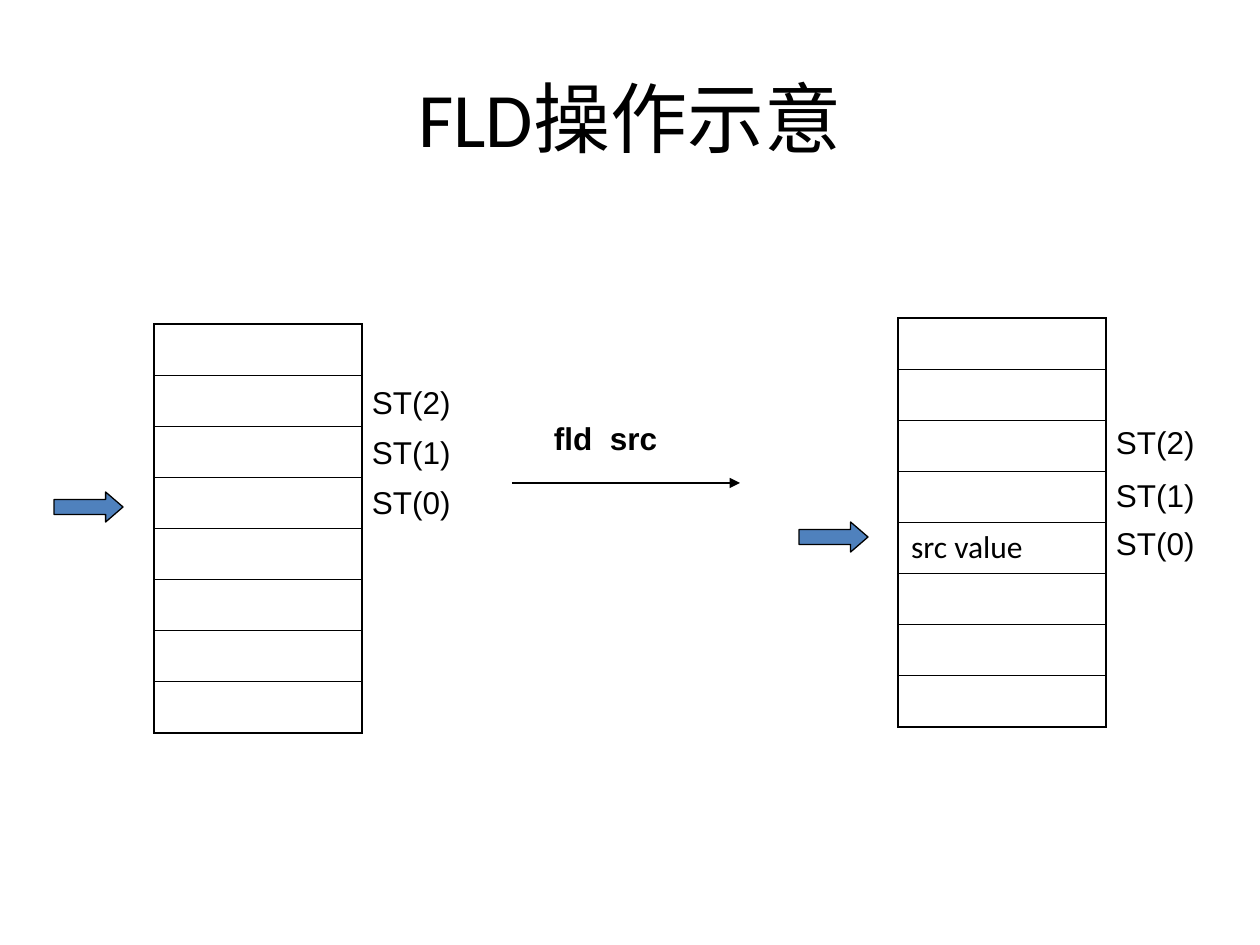
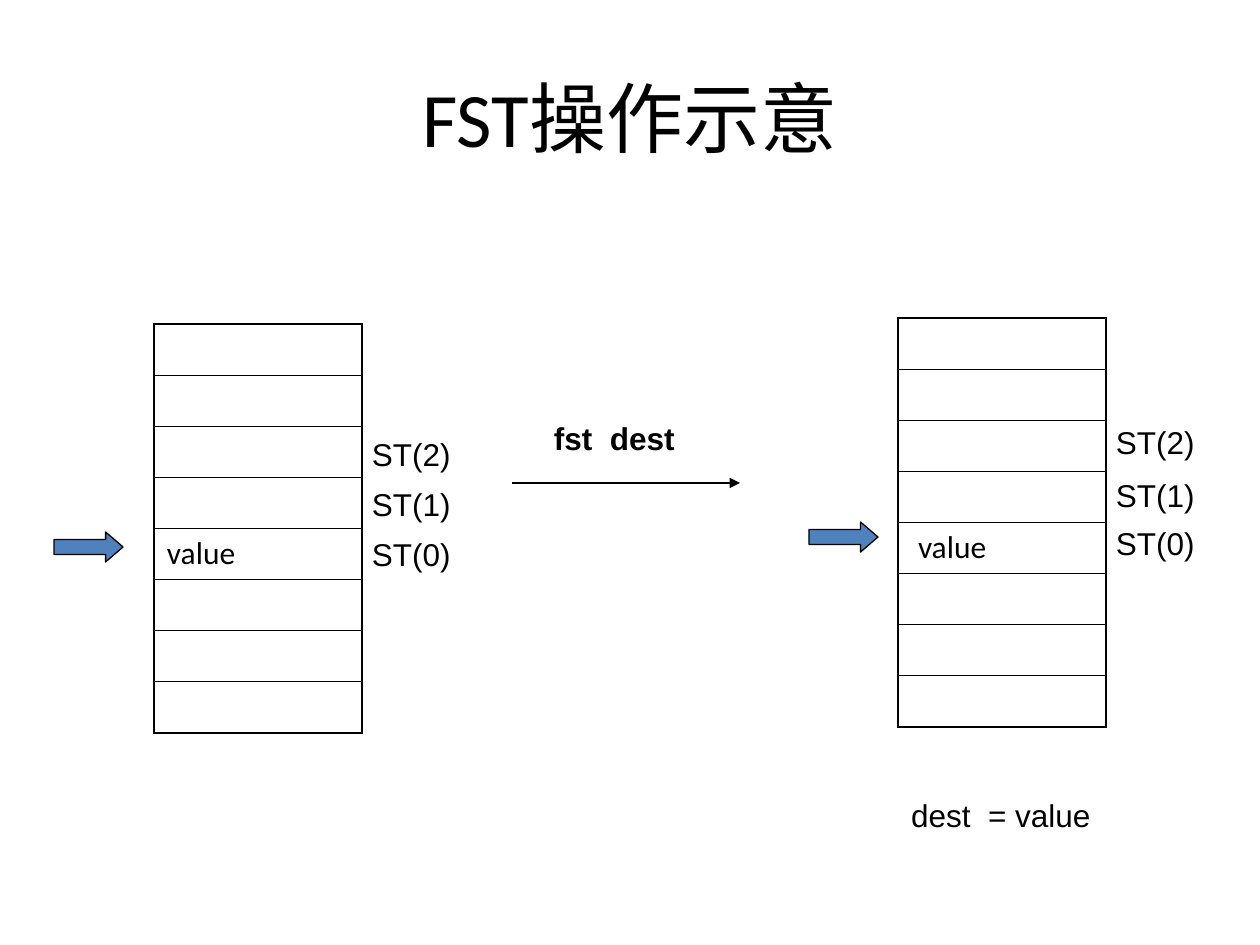
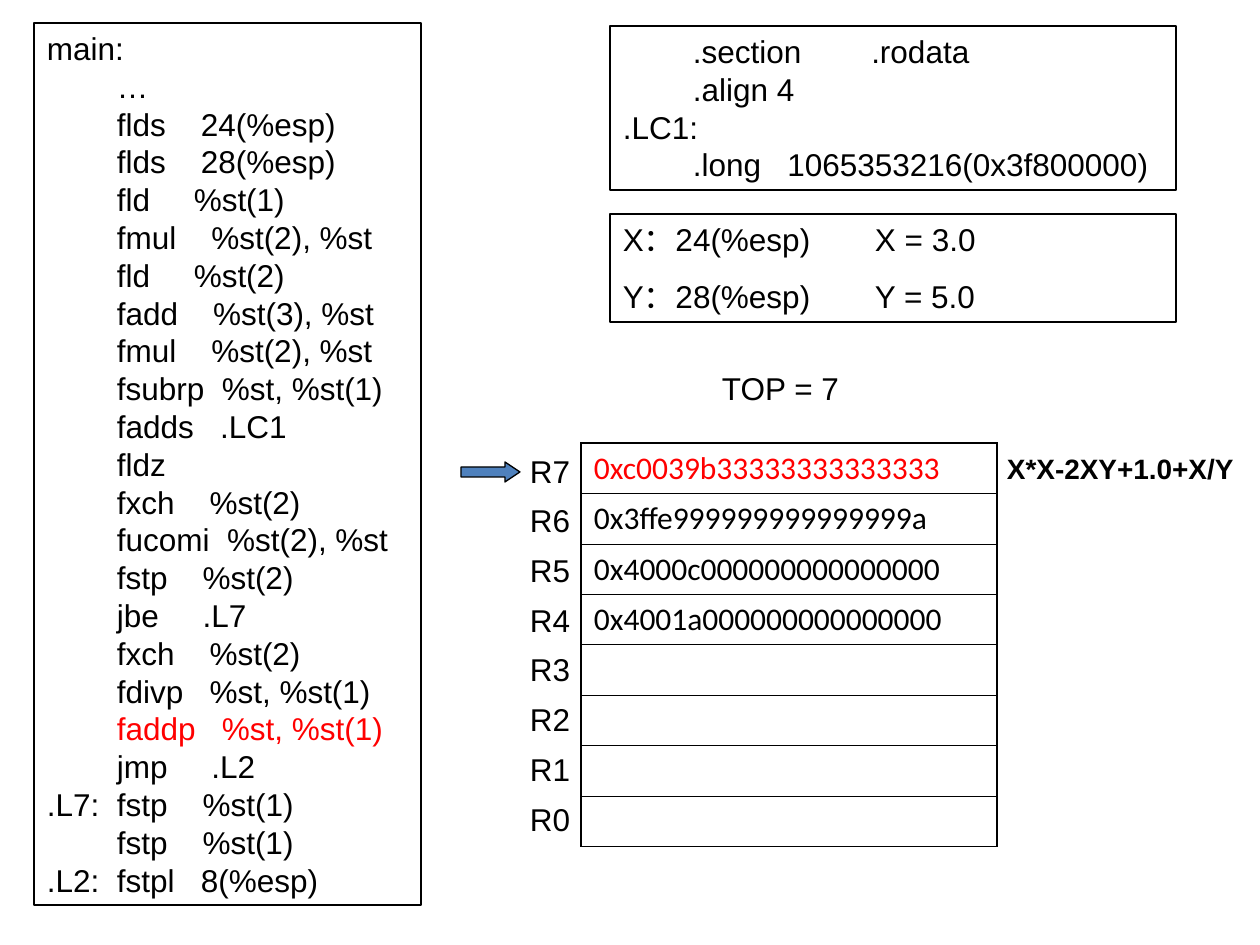
from dataclasses import dataclass

from lxml import etree
from pptx import Presentation
from pptx import util as u
from pptx.dml.color import RGBColor
from pptx.enum import shapes, text
from pptx.oxml import ns

SCALE = 914400 / 126


@dataclass(frozen=True)
class Theme:
    ink: str = "000000"
    accent: str = "FF0000"
    arrow: str = "4F81BD"
    heading_font: str = "Calibri"
    body_font: str = "Arial"
    title: int = 44
    body: int = 18
    note: int = 16
    outline: float = 0.75
    outer_border: float = 1.08
    inner_border: float = 0.45


THEME = Theme()
ROWS = 8
ROW_HEIGHT = 50
LABEL_HEIGHT = 38
PADDING = (13, 6)
RIGHT_LABEL_TOPS = (423, 476, 524)

PROGRAM = """\
main:
        …
        flds    24(%esp)
        flds    28(%esp)
        fld     %st(1)
        fmul    %st(2), %st
        fld     %st(2)
        fadd    %st(3), %st
        fmul    %st(2), %st
        fsubrp  %st, %st(1)
        fadds   .LC1
        fldz
        fxch    %st(2)
        fucomi  %st(2), %st
        fstp    %st(2)
        jbe     .L7
        fxch    %st(2)
        fdivp   %st, %st(1)
        faddp   %st, %st(1)
        jmp     .L2
.L7:  fstp    %st(1)
        fstp    %st(1)
.L2:  fstpl   8(%esp)"""

CONSTANTS = """\
        .section        .rodata
        .align 4
.LC1:
        .long   1065353216(0x3f800000)"""


def px(length):
    return u.Emu(round(length * SCALE))


def area(*lengths):
    return [px(length) for length in lengths]


def add_run(para, words, size=THEME.body, font=THEME.body_font, color=THEME.ink, bold=False):
    span = para.add_run()
    span.text = words
    span.font.size = u.Pt(size)
    span.font.name = font
    span.font.bold = bold
    span.font.color.rgb = RGBColor.from_string(color)


def set_line(line, width=THEME.outline):
    line.color.rgb = RGBColor.from_string(THEME.ink)
    line.width = u.Pt(width)


def set_frame(frame, padding):
    frame.word_wrap = True
    frame.vertical_anchor = text.MSO_ANCHOR.TOP
    frame.margin_left = frame.margin_right = px(padding[0])
    frame.margin_top = frame.margin_bottom = px(padding[1])


def add_title(slide, words):
    title = slide.shapes.title
    title.left, title.top, title.width, title.height = area(63, 38, 1134, 157)
    title.text_frame.vertical_anchor = text.MSO_ANCHOR.MIDDLE
    para = title.text_frame.paragraphs[0]
    para.alignment = text.PP_ALIGN.CENTER
    add_run(para, words, THEME.title, THEME.heading_font)


def add_label(slide, words, left, top, width, height=LABEL_HEIGHT, padding=(0, 0), **style):
    box = slide.shapes.add_textbox(*area(left, top, width, height))
    set_frame(box.text_frame, padding)
    add_run(box.text_frame.paragraphs[0], words, **style)


def add_panel(slide, lines, bounds, highlight=None, gap=0, tab=None):
    panel = slide.shapes.add_shape(shapes.MSO_SHAPE.RECTANGLE, *area(*bounds))
    panel.shadow.inherit = False
    panel.fill.background()
    set_line(panel.line)
    frame = panel.text_frame
    set_frame(frame, PADDING)
    for index, line in enumerate(lines):
        para = frame.add_paragraph() if index else frame.paragraphs[0]
        para.alignment = text.PP_ALIGN.LEFT
        if index:
            para.space_before = u.Pt(gap)
        if tab:
            stops = etree.SubElement(para._p.get_or_add_pPr(), ns.qn("a:tabLst"))
            etree.SubElement(stops, ns.qn("a:tab"), pos=str(px(tab)), algn="l")
        add_run(para, line, color=THEME.accent if index == highlight else THEME.ink)


def add_pointer(slide, left, top, width=69, height=30, head=0.58):
    arrow = slide.shapes.add_shape(shapes.MSO_SHAPE.RIGHT_ARROW, *area(left, top, width, height))
    arrow.shadow.inherit = False
    arrow.adjustments[0] = 0.5
    arrow.adjustments[1] = head
    arrow.fill.solid()
    arrow.fill.fore_color.rgb = RGBColor.from_string(THEME.arrow)
    set_line(arrow.line)


def add_flow_arrow(slide, start, end, y):
    flow = slide.shapes.add_connector(shapes.MSO_CONNECTOR.STRAIGHT, *area(start, y, end, y))
    set_line(flow.line)
    etree.SubElement(flow.line._get_or_add_ln(), ns.qn("a:tailEnd"), type="triangle")
    etree.SubElement(flow._element.spPr, ns.qn("a:effectLst"))


def set_borders(cell, row):
    widths = {
        "lnL": THEME.outer_border,
        "lnR": THEME.outer_border,
        "lnT": THEME.outer_border if row == 0 else THEME.inner_border,
        "lnB": THEME.outer_border if row == ROWS - 1 else THEME.inner_border,
    }
    properties = cell._tc.get_or_add_tcPr()
    for side, width in widths.items():
        border = etree.SubElement(properties, ns.qn(f"a:{side}"), w=str(u.Pt(width)))
        fill = etree.SubElement(border, ns.qn("a:solidFill"))
        etree.SubElement(fill, ns.qn("a:srgbClr"), val=THEME.ink)


def add_registers(slide, left, top, width, values, highlight=None, inset=PADDING[0]):
    frame = slide.shapes.add_table(ROWS, 1, *area(left, top, width, ROWS * ROW_HEIGHT))
    table = frame.table
    table.first_row = table.horz_banding = False
    for row in range(ROWS):
        table.rows[row].height = px(ROW_HEIGHT)
        cell = table.cell(row, 0)
        set_borders(cell, row)
        cell.fill.background()
        cell.margin_left = px(inset)
        if row in values:
            color = THEME.accent if row == highlight else THEME.ink
            add_run(cell.text_frame.paragraphs[0], values[row],
                    font=THEME.heading_font, color=color)


def add_stack_labels(slide, left, tops):
    for number, top in zip((2, 1, 0), tops):
        add_label(slide, f"ST({number})", left, top, 90)


def add_operation_slide(deck, title, command, before, after, first_label, pointers, inset):
    slide = deck.slides.add_slide(deck.slide_layouts[5])
    add_title(slide, title)
    add_registers(slide, 154, 324, 208, before)
    add_registers(slide, 898, 318, 208, after, inset=inset)
    for left, top in pointers:
        add_pointer(slide, left, top)
    add_stack_labels(slide, 372, [first_label + 50 * step for step in range(3)])
    add_stack_labels(slide, 1116, RIGHT_LABEL_TOPS)
    add_flow_arrow(slide, 512, 740, 483)
    add_label(slide, command, 541, 413, 179, 50, PADDING, bold=True)
    return slide


def add_program_slide(deck):
    slide = deck.slides.add_slide(deck.slide_layouts[6])
    program = PROGRAM.splitlines()
    current = next(i for i, line in enumerate(program) if "faddp" in line)
    add_panel(slide, program, (34, 23, 387, 882), highlight=current)
    add_panel(slide, CONSTANTS.splitlines(), (610, 26, 566, 164))
    add_panel(slide, ["X：24(%esp)\tX = 3.0", "Y：28(%esp)\tY = 5.0"],
              (610, 214, 566, 108), gap=11.2, tab=252)
    add_label(slide, "TOP = 7", 709, 363, 149, 50, PADDING)
    values = ("0xc0039b33333333333333", "0x3ffe999999999999999a",
              "0x4000c000000000000000", "0x4001a000000000000000")
    add_registers(slide, 581, 443, 416, dict(enumerate(values)), highlight=0)
    for row in range(ROWS):
        add_label(slide, f"R{ROWS - 1 - row}", 530, 452 + 348 * row // (ROWS - 1), 49)
    add_pointer(slide, 461, 462, 59, 20, 0.75)
    add_label(slide, "X*X-2XY+1.0+X/Y", 1007, 452, 253, 34, size=THEME.note, bold=True)


def main():
    deck = Presentation()
    deck.slide_width, deck.slide_height = area(1260, 945)
    add_operation_slide(deck, "FLD操作示意", "fld  src", {}, {4: "src value"},
                        383, [(54, 492), (799, 522)], PADDING[0])
    store = add_operation_slide(deck, "FST操作示意", "fst  dest", {4: "value"}, {4: "value"},
                                435, [(54, 532), (809, 522)], 20)
    add_label(store, "dest  = value", 898, 790, 258, 50, PADDING)
    add_program_slide(deck)
    deck.save("out.pptx")


if __name__ == "__main__":
    main()
